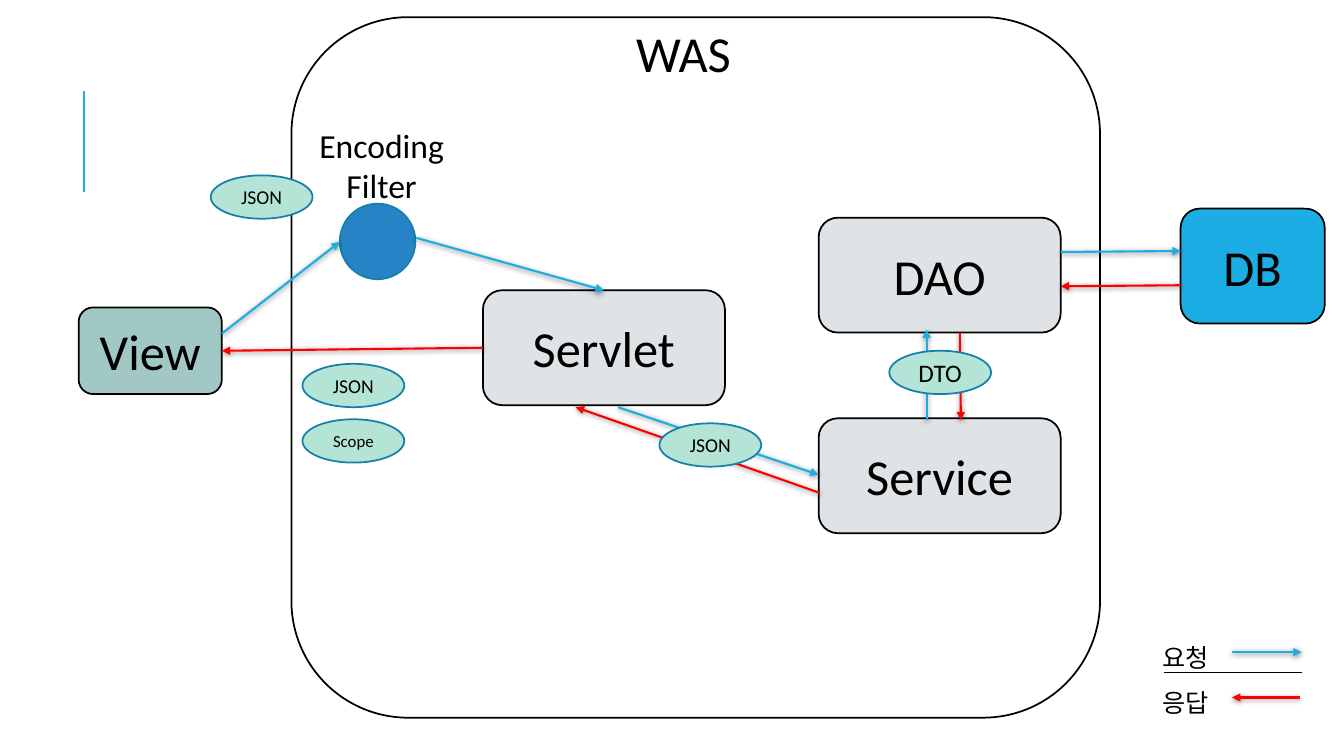
"""Build a slide of the request and response flow through a WAS."""
from dataclasses import dataclass

from lxml.etree import SubElement
from pptx import Presentation
from pptx.dml.color import RGBColor
from pptx.enum.shapes import MSO_CONNECTOR, MSO_SHAPE
from pptx.enum.text import MSO_ANCHOR, MSO_AUTO_SIZE, PP_ALIGN
from pptx.oxml.ns import qn
from pptx.util import Inches, Pt


@dataclass(frozen=True)
class Theme:
    font: str = "Calibri"
    ink: str = "000000"
    paper: str = "FFFFFF"
    view: str = "A1C8C5"
    layer: str = "DFE3E5"
    request: str = "1CADE4"
    response: str = "FF0000"
    filter: str = "2683C6"
    data: str = "B3E4D6"
    rim: str = "1580A9"
    heading: int = 36
    label: int = 24
    legend: int = 18
    outline: float = 1.25
    arrow: float = 1.5
    rule: float = 0.75


T = Theme()
WAS_BOX = (2.89, 0.17, 8.02, 6.95)
FILTER_BOX = (3.37, 2.02, 0.75, 0.75)
LAYER_SIZE = (2.4, 1.14)
DATA_SIZE = (1.01, 0.43)

BOXES = [
    ("View", (0.78, 3.05, 1.42, 0.86), T.view),
    ("Servlet", (4.79, 2.88, *LAYER_SIZE), T.layer),
    ("DB", (11.71, 2.07, 1.43, 1.14), T.request),
    ("Service", (8.12, 4.15, *LAYER_SIZE), T.layer),
    ("DAO", (8.12, 2.16, *LAYER_SIZE), T.layer),
]
LABELS = [
    (["WAS"], (6.21, 0.17, 1.32, 0.71), dict(size=T.heading)),
    (["Encoding", "Filter"], (2.82, 1.19, 1.93, 0.91),
     dict(size=T.label, align=PP_ALIGN.CENTER)),
    (["요청", "응답"], (11.43, 6.17, 0.8, 1.01),
     dict(size=T.legend, spacing=1.5, wrap=False)),
]
REQUESTS = [
    ((2.2, 3.31), (3.37, 2.4)),
    ((4.13, 2.36), (5.99, 2.88)),
    ((6.13, 4.04), (8.12, 4.71)),
    ((9.19, 4.17), (9.19, 3.27)),
    ((10.52, 2.5), (11.71, 2.49)),
    ((12.22, 6.47), (12.91, 6.47)),
]
RESPONSES = [
    ((11.71, 2.83), (10.52, 2.84)),
    ((12.89, 6.92), (12.22, 6.92)),
    ((9.52, 3.3), (9.53, 4.17)),
    ((8.13, 4.89), (5.71, 4.04)),
    ((4.79, 3.45), (2.2, 3.48)),
]
DATA = [
    ("DTO", (8.82, 3.48), 18),
    ("Scope", (3, 4.16), 12),
    ("JSON", (6.54, 4.2), 14),
    ("JSON", (3, 3.61), 14),
    ("JSON", (2.09, 1.74), 14),
]


def rgb(color):
    return RGBColor.from_string(color)


def write(tf, lines, size, align=PP_ALIGN.LEFT, spacing=None, wrap=True,
          anchor=MSO_ANCHOR.TOP):
    tf.word_wrap = wrap
    tf.vertical_anchor = anchor
    for i, line in enumerate(lines):
        p = tf.paragraphs[0] if i == 0 else tf.add_paragraph()
        p.alignment = align
        p.line_spacing = spacing
        r = p.add_run()
        r.text = line
        r.font.name = T.font
        r.font.size = Pt(size)
        r.font.color.rgb = rgb(T.ink)


def add_node(s, kind, box, fill, line=T.ink, text=None, size=T.heading):
    sp = s.shapes.add_shape(kind, *map(Inches, box))
    sp.shadow.inherit = False
    sp.fill.solid()
    sp.fill.fore_color.rgb = rgb(fill)
    sp.line.color.rgb = rgb(line)
    sp.line.width = Pt(T.outline)
    if text:
        write(sp.text_frame, [text], size, align=PP_ALIGN.CENTER,
              anchor=MSO_ANCHOR.MIDDLE)


def add_label(s, lines, box, **style):
    tf = s.shapes.add_textbox(*map(Inches, box)).text_frame
    write(tf, lines, **style)
    tf.auto_size = MSO_AUTO_SIZE.SHAPE_TO_FIT_TEXT


def add_line(s, start, end, color, width=T.arrow, arrow=False):
    cn = s.shapes.add_connector(MSO_CONNECTOR.STRAIGHT,
                                *map(Inches, (*start, *end)))
    cn.line.color.rgb = rgb(color)
    cn.line.width = Pt(width)
    effects = SubElement(cn._element.spPr, qn("a:effectLst"))
    if arrow:
        SubElement(cn.line._get_or_add_ln(), qn("a:tailEnd"), type="triangle")
        shadow = SubElement(effects, qn("a:outerShdw"), blurRad=str(Pt(4)),
                            dist=str(Pt(1)), dir="5400000", rotWithShape="0")
        tint = SubElement(shadow, qn("a:srgbClr"), val=T.ink)
        SubElement(tint, qn("a:alpha"), val="50000")


def main():
    prs = Presentation()
    prs.slide_width, prs.slide_height = Inches(13.33), Inches(7.5)
    s = prs.slides.add_slide(prs.slide_layouts[6])

    add_line(s, (0.83, 1.9), (0.83, 0.9), T.request)
    add_node(s, MSO_SHAPE.ROUNDED_RECTANGLE, WAS_BOX, T.paper)
    add_node(s, MSO_SHAPE.OVAL, FILTER_BOX, T.filter, T.rim)
    for text, box, fill in BOXES:
        add_node(s, MSO_SHAPE.ROUNDED_RECTANGLE, box, fill, text=text)
    for lines, box, style in LABELS:
        add_label(s, lines, box, **style)
    for color, arrows in ((T.request, REQUESTS), (T.response, RESPONSES)):
        for start, end in arrows:
            add_line(s, start, end, color, arrow=True)
    add_line(s, (11.54, 6.67), (12.91, 6.67), T.ink, T.rule)
    for text, corner, size in DATA:
        add_node(s, MSO_SHAPE.OVAL, (*corner, *DATA_SIZE), T.data, T.rim,
                 text, size)

    prs.save("out.pptx")


if __name__ == "__main__":
    main()
